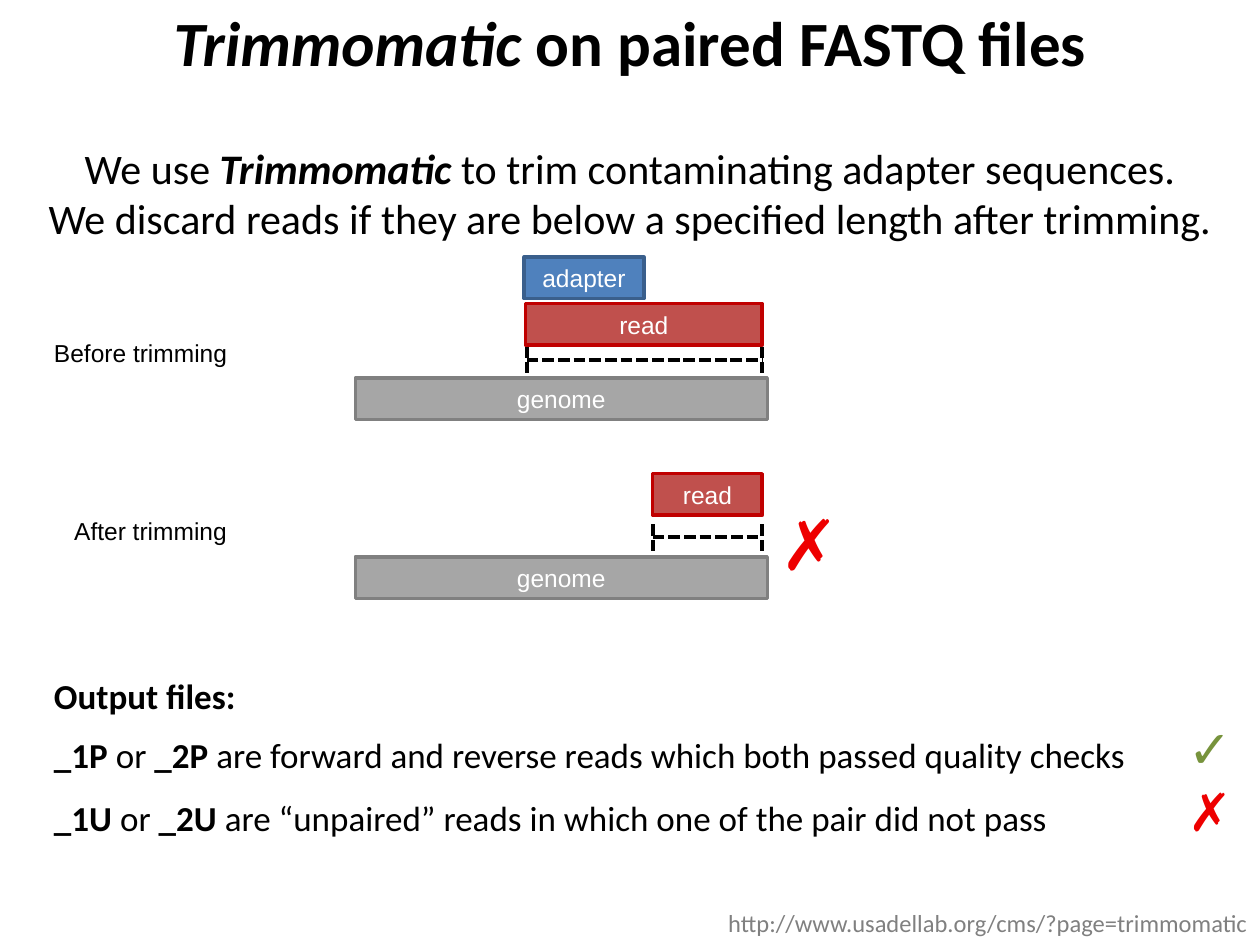
from pptx import Presentation
from pptx.dml.color import RGBColor
from pptx.enum import dml, shapes, text
from pptx.oxml import parse_xml
from pptx.oxml.ns import nsdecls, qn
from pptx.util import Inches, Pt

BLACK = RGBColor(0x00, 0x00, 0x00)
WHITE = RGBColor(0xFF, 0xFF, 0xFF)
GREY = RGBColor(0x80, 0x80, 0x80)
GREEN = RGBColor(0x77, 0x93, 0x3C)
RED = RGBColor(0xEE, 0x00, 0x00)
LEFT, MID, RIGHT = text.PP_ALIGN.LEFT, text.PP_ALIGN.CENTER, text.PP_ALIGN.RIGHT

# Content: a paragraph is a list of (text, style) runs, b = bold, i = italic
TITLE = [[("Trimmomatic", "bi"), (" on paired FASTQ files", "b")]]
INTRO = [
    [("We use ", ""), ("Trimmomatic", "bi"),
     (" to trim contaminating adapter sequences.", "")],
    [("We discard reads if they are below a specified length after trimming.", "")],
]
OUTPUT = [
    [("Output files:", "b")],
    [("_1P ", "b"), ("or ", ""), ("_2P ", "b"),
     ("are forward and reverse reads which both passed quality checks\t", ""),
     ("✓", "b")],
    [("_1U ", "b"), ("or ", ""), ("_2U ", "b"),
     ("are “unpaired” reads in which one of the pair did not pass\t", ""),
     ("✗", "b")],
]
LINK = [[("http://www.usadellab.org/cms/?page=trimmomatic", "")]]
MARKS = {"✓": GREEN, "✗": RED}

# Bar kinds: fill, line
KINDS = {
    "adapter": (RGBColor(0x4F, 0x81, 0xBD), RGBColor(0x3A, 0x5F, 0x8C)),
    "read": (RGBColor(0xC0, 0x50, 0x4D), RGBColor(0xC0, 0x00, 0x00)),
    "genome": (RGBColor(0xA6, 0xA6, 0xA6), GREY),
}
BAR = 0.33   # bar height
TICK = 0.21  # bracket height
END = 6.05   # right end of reads and brackets

# Stages: label, label left, label width, bars (name, left, top, width),
# bracket left, bracket top
STAGES = [
    ("Before trimming", 0.33, 1.88,
     [("adapter", 4.16, 2.04, 0.95), ("read", 4.17, 2.41, 1.88),
      ("genome", 2.82, 3.0, 3.27)], 4.18, 2.75),
    ("After trimming", 0.49, 1.72,
     [("read", 5.18, 3.76, 0.87), ("genome", 2.82, 4.42, 3.27)], 5.18, 4.16),
]

pres = Presentation()
pres.slide_width, pres.slide_height = Inches(10), Inches(7.5)
slide = pres.slides.add_slide(pres.slide_layouts[6])


def write(frame, paras, size, align=LEFT, face="Calibri", color=BLACK,
          mark=None, tab=None):
    for n, runs in enumerate(paras):
        para = frame.paragraphs[0] if n == 0 else frame.add_paragraph()
        para.alignment = align
        if tab:
            stop = f'<a:tabLst {nsdecls("a")}><a:tab pos="{Inches(tab)}" algn="l"/></a:tabLst>'
            para._p.get_or_add_pPr().append(parse_xml(stop))
        for words, style in runs:
            run = para.add_run()
            run.text = words
            font = run.font
            font.name = face
            font.size = Pt(mark if mark and words in MARKS else size)
            font.bold, font.italic = "b" in style, "i" in style
            font.color.rgb = MARKS.get(words, color)


def add_text(box, paras, size, wrap=True, **look):
    frame = slide.shapes.add_textbox(*map(Inches, box)).text_frame
    frame.word_wrap = wrap
    write(frame, paras, size, **look)


def add_bar(name, left, top, width):
    bar = slide.shapes.add_shape(
        shapes.MSO_SHAPE.RECTANGLE, *map(Inches, (left, top, width, BAR)))
    bar.shadow.inherit = False
    fill, edge = KINDS[name]
    bar.fill.solid()
    bar.fill.fore_color.rgb = fill
    bar.line.color.rgb = edge
    bar.line.width = Pt(2)
    frame = bar.text_frame
    frame.vertical_anchor = text.MSO_ANCHOR.MIDDLE
    write(frame, [[(name, "")]], 14, MID, "Arial", WHITE)


def add_dash(*ends):
    dash = slide.shapes.add_connector(
        shapes.MSO_CONNECTOR.STRAIGHT, *map(Inches, ends))
    dash.line.color.rgb = BLACK
    dash.line.width = Pt(2.25)
    dash.line.dash_style = dml.MSO_LINE.SQUARE_DOT
    dash._element.spPr.append(dash._element.makeelement(qn("a:effectLst"), {}))


# Title band: a table of one cell
table = slide.shapes.add_table(1, 1, *map(Inches, (0, 0, 10, 0.7))).table
table.first_row = table.horz_banding = False
cell = table.cell(0, 0)
cell.vertical_anchor = text.MSO_ANCHOR.MIDDLE
write(cell.text_frame, TITLE, 36, MID)
for edge in ("a:lnL", "a:lnR", "a:lnT", "a:lnB"):
    cell._tc.get_or_add_tcPr().append(
        parse_xml(f'<{edge} {nsdecls("a")} w="0"><a:noFill/></{edge}>'))
cell.fill.background()

# Text blocks
add_text((0, 1.08, 10, 0.91), INTRO, 24, align=MID)
add_text((3.5, 7.16, 6.5, 0.34), LINK, 14, align=RIGHT, color=GREY)
add_text((0.33, 5.3, 9.58, 1.45), OUTPUT, 20, mark=30, tab=9)

# Read diagrams
for label, x, width, bars, start, top in STAGES:
    for bar in bars:
        add_bar(*bar)
    for side in (start, END):
        add_dash(side, top, side, top + TICK)
    add_dash(start, top + TICK / 2, END, top + TICK / 2)
    genome = bars[-1][2]
    add_text((x, genome - 0.37, width, 0.4), [[(label, "")]], 14,
             wrap=False, face="Arial")

# Rejected read
add_text((6.1, 3.92, 0.56, 0.77), [[("✗", "b")]], 40, wrap=False, face="Arial")

pres.save("out.pptx")
